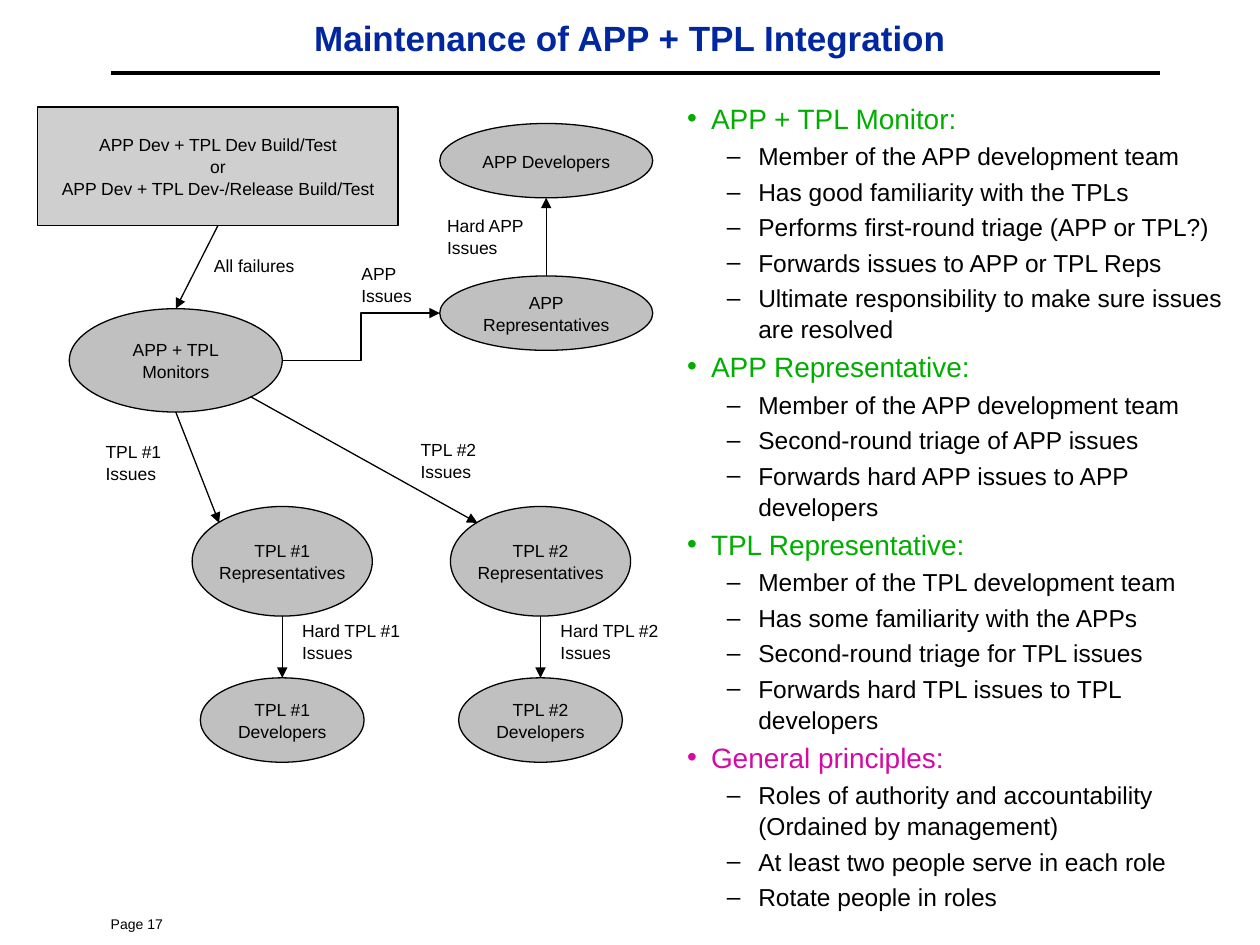
"""Build the slide on the maintenance roles of the APP + TPL integration."""
import lxml.etree
import pptx
import pptx.dml.color
import pptx.enum.shapes
import pptx.enum.text
import pptx.oxml
import pptx.oxml.ns
import pptx.util

presentation = pptx.Presentation()
presentation.slide_width = pptx.util.Inches(10)
presentation.slide_height = pptx.util.Inches(7.5)
slide = presentation.slides.add_slide(presentation.slide_layouts[6])
cell = presentation.slide_width / 100

color = pptx.dml.color.RGBColor.from_string
ALIGN = pptx.enum.text.PP_ALIGN
ANCHOR = pptx.enum.text.MSO_ANCHOR
SHAPE = pptx.enum.shapes.MSO_SHAPE
CONNECTOR = pptx.enum.shapes.MSO_CONNECTOR
BLACK, BLUE, GREEN, MAGENTA = "000000", "00279F", "00AE00", "D30AA5"


def write(shape, text, size, fill=BLACK, bold=False, frame=None, layout=None):
    """Fill a shape with formatted paragraphs."""
    shape.text_frame.text = text
    for name, value in {"word_wrap": True, **(frame or {})}.items():
        setattr(shape.text_frame, name, value)
    for paragraph in shape.text_frame.paragraphs:
        for name, value in {"line_spacing": 1.05, **(layout or {})}.items():
            setattr(paragraph, name, value)
        font = {"name": "Arial", "size": pptx.util.Pt(size), "bold": bold}
        for name, value in font.items():
            setattr(paragraph.font, name, value)
        paragraph.font.color.rgb = color(fill)


def connect(kind, start, end, width, arrow=True):
    """Draw a black connector between two grid points."""
    points = [round(value * cell) for value in (*start, *end)]
    connector = slide.shapes.add_connector(kind, *points)
    connector.line.width = pptx.util.Pt(width)
    connector.line.color.rgb = color(BLACK)
    properties = connector._element.spPr
    if arrow:
        line = properties.find(pptx.oxml.ns.qn("a:ln"))
        lxml.etree.SubElement(line, pptx.oxml.ns.qn("a:tailEnd"), type="triangle")
    lxml.etree.SubElement(properties, pptx.oxml.ns.qn("a:effectLst"))


connect(CONNECTOR.STRAIGHT, (8.8, 5.8), (92.1, 5.8), 2, arrow=False)

centred = {"alignment": ALIGN.CENTER}
middle = {"vertical_anchor": ANCHOR.MIDDLE}
texts = [
    (7.8, 72.1, 20.8, 2.2, "Page 17", 8, BLACK, False, None, None),
    (7.5, 0.8, 85, 4.2, "Maintenance of APP + TPL Integration", 20, BLUE, True, middle, centred),
]
labels = [
    (43.5, 48.6, 13.6, "Hard TPL #2 Issues"),
    (23, 48.6, 12.4, "Hard TPL #1 Issues"),
    (16, 19.7, 8.4, "All failures"),
    (7.4, 34.4, 9.7, "TPL #1 Issues"),
    (27.7, 20.3, 7.5, "APP\nIssues"),
    (32.4, 34.3, 9.7, "TPL #2 Issues"),
    (34.5, 16.5, 9.3, "Hard APP Issues"),
]
for left, top, width, text in labels:
    height = 2.7 if text == "All failures" else 4.4
    frame = {"word_wrap": text != "All failures"}
    texts.append((left, top, width, height, text, 10, BLACK, False, frame, None))
for left, top, width, height, *content in texts:
    box = slide.shapes.add_textbox(*[round(value * cell) for value in (left, top, width, height)])
    write(box, *content)

nodes = {
    "build": (3, 8.5, 28.6, 9.4, "APP Dev + TPL Dev Build/Test\nor\nAPP Dev + TPL Dev-/Release Build/Test"),
    "monitors": (5.5, 24.5, 16.9, 8.2, "APP + TPL\nMonitors"),
    "app reps": (34.9, 21.9, 16.9, 5.9, "APP\nRepresentatives"),
    "app devs": (34.9, 9.8, 16.9, 5.9, "APP Developers"),
}
for number, centre in ((1, 22.4), (2, 42.9)):
    nodes[f"tpl{number} reps"] = (centre - 7.15, 40.2, 14.3, 8.7, f"TPL #{number}\nRepresentatives")
    nodes[f"tpl{number} devs"] = (centre - 6.5, 53.8, 13, 6.7, f"TPL #{number}\nDevelopers")
for name, (left, top, width, height, text) in nodes.items():
    preset, fill = (SHAPE.RECTANGLE, "CFCFCF") if name == "build" else (SHAPE.OVAL, "C0C0C0")
    shape = slide.shapes.add_shape(preset, *[round(value * cell) for value in (left, top, width, height)])
    shape.shadow.inherit = False
    shape.fill.solid()
    shape.fill.fore_color.rgb = color(fill)
    shape.line.color.rgb = color(BLACK)
    shape.line.width = pptx.util.Pt(0.75)
    write(shape, text, 10, frame={**middle, "word_wrap": False}, layout=centred)

sites = {
    "top": (0.5, 0), "bottom": (0.5, 1), "left": (0, 0.5), "right": (1, 0.5),
    "top left": (0.15, 0.15), "bottom right": (0.85, 0.85),
}
links = [
    ("build", "bottom", "monitors", "top"),
    ("monitors", "bottom", "tpl1 reps", "top left"),
    ("monitors", "bottom right", "tpl2 reps", "top left"),
    ("tpl1 reps", "bottom", "tpl1 devs", "top"),
    ("tpl2 reps", "bottom", "tpl2 devs", "top"),
    ("monitors", "right", "app reps", "left"),
    ("app reps", "top", "app devs", "bottom"),
]
for source, source_site, target, target_site in links:
    ends = []
    for name, site in ((source, source_site), (target, target_site)):
        left, top, width, height, text = nodes[name]
        across, down = sites[site]
        ends.append((left + across * width, top + down * height))
    kind = CONNECTOR.ELBOW if source_site == "right" else CONNECTOR.STRAIGHT
    connect(kind, *ends, 0.75)

roles = [
    ("APP + TPL Monitor:", GREEN, [
        "Member of the APP development team",
        "Has good familiarity with the TPLs",
        "Performs first-round triage (APP or TPL?)",
        "Forwards issues to APP or TPL Reps",
        "Ultimate responsibility to make sure issues are resolved",
    ]),
    ("APP Representative:", GREEN, [
        "Member of the APP development team",
        "Second-round triage of APP issues",
        "Forwards hard APP issues to APP developers",
    ]),
    ("TPL Representative:", GREEN, [
        "Member of the TPL development team",
        "Has some familiarity with the APPs",
        "Second-round triage for TPL issues",
        "Forwards hard TPL issues to TPL developers",
    ]),
    ("General principles:", MAGENTA, [
        "Roles of authority and accountability (Ordained by management)",
        "At least two people serve in each role",
        "Rotate people in roles",
    ]),
]
lines = []
for heading, fill, duties in roles:
    lines.append((heading, 0, fill, "•", 16, 3, 3.75, -1.9))
    lines += [(duty, 1, BLACK, "–", 14, 2.6, 7.5, -2.5) for duty in duties]

box = slide.shapes.add_textbox(*[round(value * cell) for value in (51.7, 7.4, 47, 65.5)])
write(box, "\n".join(line[0] for line in lines), 14)
for paragraph, line in zip(box.text_frame.paragraphs, lines):
    text, level, fill, bullet, size, after, margin, indent = line
    paragraph.level = level
    paragraph.space_after = pptx.util.Pt(after)
    properties = paragraph._p.get_or_add_pPr()
    properties.set("marL", str(round(margin * cell)))
    properties.set("indent", str(round(indent * cell)))
    namespace = pptx.oxml.ns.nsdecls("a")
    elements = [
        pptx.oxml.parse_xml(f'<a:buClr {namespace}><a:srgbClr val="{fill}"/></a:buClr>'),
        pptx.oxml.parse_xml(f'<a:buFont {namespace} typeface="Arial"/>'),
        pptx.oxml.parse_xml(f'<a:buChar {namespace} char="{bullet}"/>'),
    ]
    position = len(properties.findall(pptx.oxml.ns.qn("a:lnSpc"))) + 1
    for offset, element in enumerate(elements):
        properties.insert(position + offset, element)
    paragraph.font.size = pptx.util.Pt(size)
    paragraph.font.color.rgb = color(fill)

presentation.save("out.pptx")
